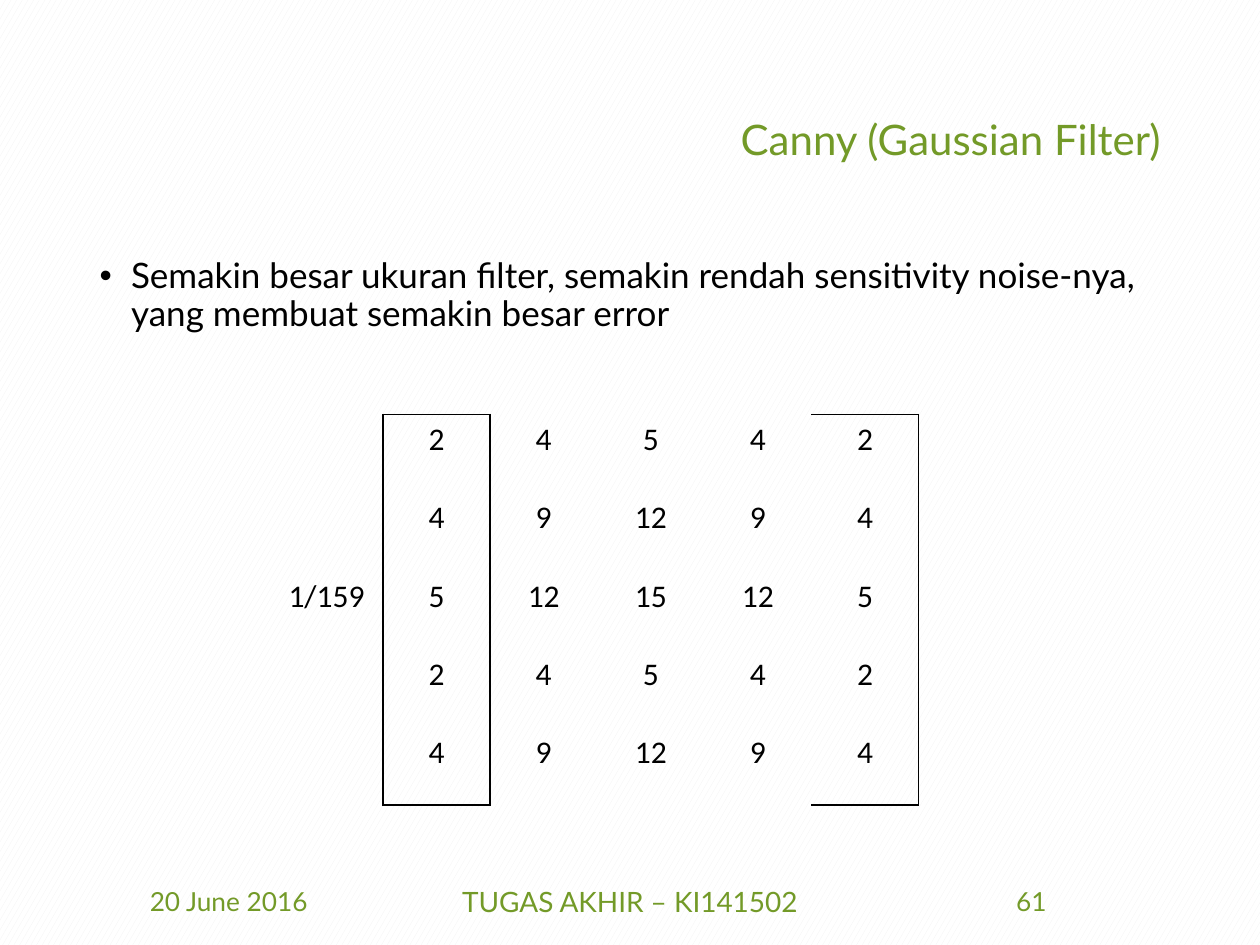
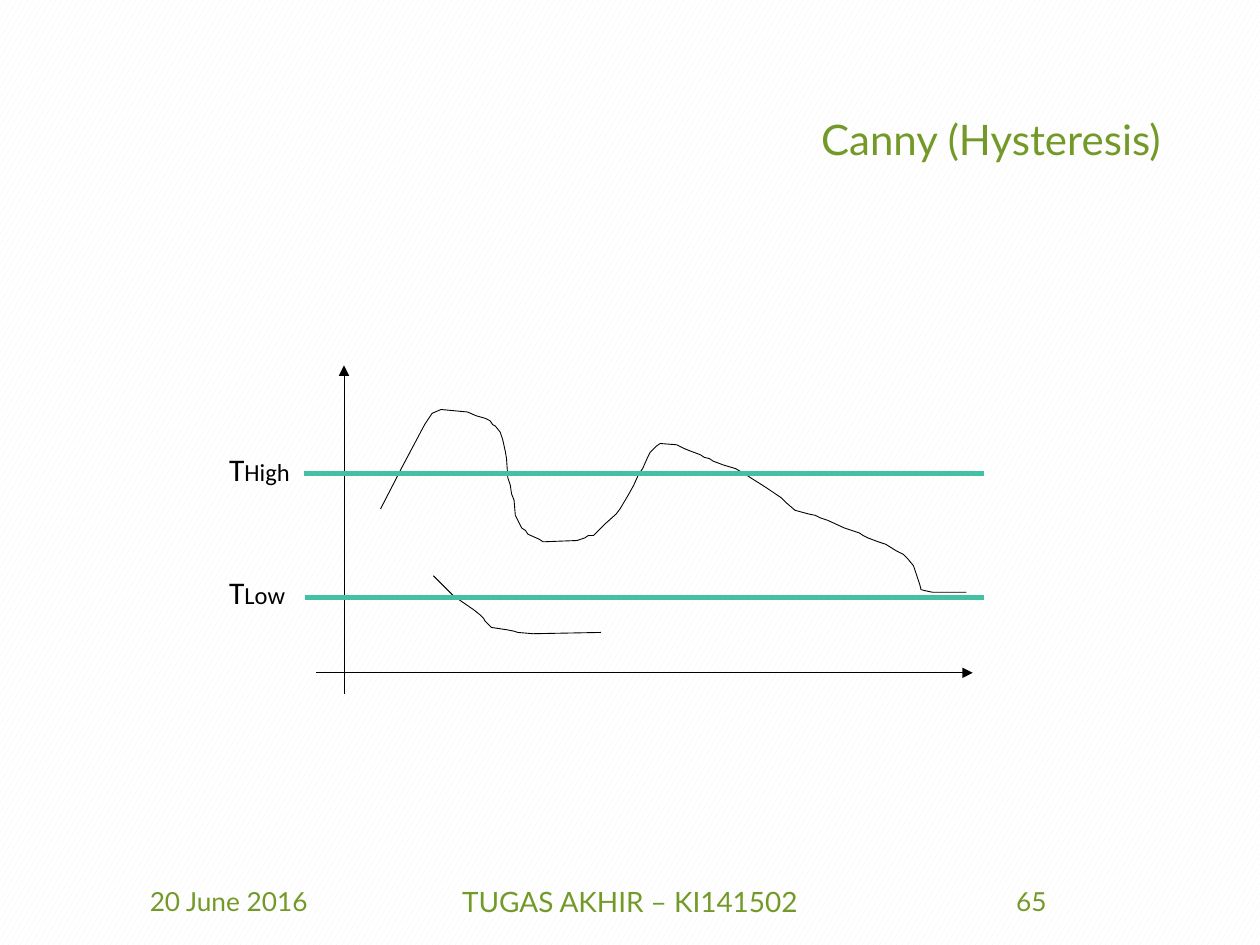
from dataclasses import dataclass

from lxml.etree import SubElement
from pptx import Presentation
from pptx.dml.color import RGBColor
from pptx.enum.dml import MSO_PATTERN
from pptx.enum.shapes import MSO_CONNECTOR
from pptx.enum.text import MSO_ANCHOR, MSO_AUTO_SIZE, PP_ALIGN
from pptx.oxml import parse_xml
from pptx.oxml.ns import nsdecls, qn
from pptx.presentation import Presentation as Deck
from pptx.slide import Slide
from pptx.table import _Cell as Cell
from pptx.util import Emu, Pt

EMU_PER_PX = 9144
GREEN = "739A28"
TEAL = "44C1A3"
BLACK = "000000"
WHITE = "FFFFFF"
PALE = "F2F2F2"
HEADING_FONT = "Lato"
FIGURE_FONT = "Calibri"
NO_TABLE_STYLE = "{2D5ABB26-0587-4C30-8999-92F81FD0307C}"


@dataclass(frozen=True)
class Box:
    left: int
    top: int
    width: int
    height: int


@dataclass(frozen=True)
class Footer:
    text: str
    box: Box
    size: int


@dataclass(frozen=True)
class Line:
    start: tuple[int, int]
    end: tuple[int, int]
    color: str = BLACK
    weight: float = 0.5
    arrow: bool = False


@dataclass(frozen=True)
class Threshold:
    name: str
    left: int
    y: int


TITLE_BOX = Box(69, 40, 862, 145)
BODY_BOX = Box(69, 200, 862, 476)
DATE = Footer("20 June 2016", Box(69, 695, 225, 40), 15)
COURSE = Footer("TUGAS AKHIR – KI141502", Box(331, 695, 338, 40), 16)
NUMBER_BOX = Box(706, 695, 225, 40)

KERNEL = [
    [2, 4, 5, 4, 2],
    [4, 9, 12, 9, 4],
    [5, 12, 15, 12, 5],
    [2, 4, 5, 4, 2],
    [4, 9, 12, 9, 4],
]
FACTOR = "1/159"
FACTOR_ROW = 2
KERNEL_LEFT, KERNEL_TOP = 219, 329
CELL_WIDTH, CELL_HEIGHT = 85, 62

AXES = [
    Line((273, 551), (273, 290), arrow=True),
    Line((251, 534), (772, 534), arrow=True),
]
STRONG_EDGE = [
    (302, 404), (320, 369), (337, 337), (343, 328), (350, 325), (371, 327),
    (378, 330), (385, 332), (389, 334), (391, 337), (393, 338), (397, 343),
    (399, 349), (401, 358), (402, 364), (403, 379), (405, 385), (406, 392),
    (408, 397), (409, 409), (411, 413), (414, 419), (417, 421), (419, 424),
    (428, 428), (431, 430), (458, 429), (464, 427), (467, 425), (471, 425),
    (480, 416), (489, 408), (492, 404), (498, 394), (503, 385), (507, 376),
    (510, 372), (514, 363), (516, 359), (521, 354), (524, 352), (537, 353),
    (543, 356), (548, 358), (556, 361), (559, 363), (563, 364), (566, 366),
    (574, 369), (584, 372), (594, 378), (597, 380), (605, 385), (608, 387),
    (617, 393), (620, 395), (624, 399), (631, 405), (642, 408), (647, 409),
    (651, 411), (657, 413), (670, 419), (682, 423), (685, 425), (689, 427),
    (697, 430), (703, 432), (711, 437), (717, 440), (720, 443), (725, 449),
    (727, 455), (728, 458), (730, 464), (731, 468), (735, 469), (740, 470),
    (767, 470),
]
WEAK_EDGE = [
    (344, 457), (360, 473), (376, 484), (381, 488), (384, 491), (385, 493),
    (390, 498), (403, 500), (408, 501), (411, 502), (423, 503), (477, 502),
]
THRESHOLDS = [Threshold("Low", 242, 474), Threshold("High", 241, 376)]
THRESHOLD_RIGHT = 781


def px(value: int) -> Emu:
    return Emu(value * EMU_PER_PX)


def rgb(color: str) -> RGBColor:
    return RGBColor.from_string(color)


def place(sp, box: Box) -> None:
    sp.left, sp.top = px(box.left), px(box.top)
    sp.width, sp.height = px(box.width), px(box.height)


def style(target, size: int, color: str, name: str) -> None:
    font = target.font
    font.size, font.name = Pt(size), name
    font.color.rgb = rgb(color)


def add_text_box(s: Slide, box: Box):
    sp = s.shapes.add_textbox(px(box.left), px(box.top), px(box.width), px(box.height))
    sp.text_frame.word_wrap = True
    return sp.text_frame


def add_footer(s: Slide, footer: Footer) -> None:
    tf = add_text_box(s, footer.box)
    tf.vertical_anchor = MSO_ANCHOR.MIDDLE
    p = tf.paragraphs[0]
    p.text, p.alignment = footer.text, PP_ALIGN.CENTER
    style(p, footer.size, GREEN, HEADING_FONT)


def add_slide(prs: Deck, layout: str, title: str, number: int) -> Slide:
    s = prs.slides.add_slide(prs.slide_layouts.get_by_name(layout))
    fill = s.background.fill
    fill.patterned()
    fill.pattern = MSO_PATTERN.LARGE_CONFETTI
    fill.fore_color.rgb, fill.back_color.rgb = rgb(PALE), rgb(WHITE)
    place(s.shapes.title, TITLE_BOX)
    tf = s.shapes.title.text_frame
    tf.auto_size, tf.vertical_anchor = MSO_AUTO_SIZE.NONE, MSO_ANCHOR.MIDDLE
    p = tf.paragraphs[0]
    p.text, p.alignment, p.line_spacing = title, PP_ALIGN.RIGHT, 0.9
    style(p, 24, GREEN, HEADING_FONT)
    for footer in (DATE, COURSE, Footer(str(number), NUMBER_BOX, 15)):
        add_footer(s, footer)
    return s


def fill_body(s: Slide, text: str) -> None:
    sp = s.placeholders[1]
    place(sp, BODY_BOX)
    tf = sp.text_frame
    tf.auto_size = MSO_AUTO_SIZE.NONE
    p = tf.paragraphs[0]
    p.text, p.line_spacing, p.space_before = text, 0.9, Pt(0)
    pPr = p._p.get_or_add_pPr()
    pPr.set("marL", str(px(25)))
    pPr.set("indent", str(px(-25)))
    SubElement(pPr, qn("a:buFont")).set("typeface", "Arial")
    SubElement(pPr, qn("a:buChar")).set("char", "•")
    style(p, 20, BLACK, HEADING_FONT)


def set_borders(cell: Cell, sides: str) -> None:
    tcPr = cell._tc.get_or_add_tcPr()
    for i, side in enumerate(sides):
        tcPr.insert(i, parse_xml(
            f'<a:ln{side} {nsdecls("a")} w="12700"><a:solidFill>'
            f'<a:srgbClr val="{BLACK}"/></a:solidFill></a:ln{side}>'))


def bracket_sides(row: int, col: int, last_row: int, last_col: int) -> str:
    corner = col in (1, last_col)
    rules = {
        "L": col == 1,
        "R": col in (0, last_col),
        "T": corner and row == 0,
        "B": corner and row == last_row,
    }
    return "".join(side for side, drawn in rules.items() if drawn)


def add_kernel(s: Slide) -> None:
    rows, cols = len(KERNEL), len(KERNEL[0]) + 1
    frame = s.shapes.add_table(rows, cols, px(KERNEL_LEFT), px(KERNEL_TOP),
                               px(cols * CELL_WIDTH), px(rows * CELL_HEIGHT))
    for style_id in frame.element.iter(qn("a:tableStyleId")):
        style_id.text = NO_TABLE_STYLE
    table = frame.table
    table.first_row = table.horz_banding = False
    for i, weights in enumerate(KERNEL):
        texts = [FACTOR if i == FACTOR_ROW else "", *map(str, weights)]
        for j, text in enumerate(texts):
            cell = table.cell(i, j)
            cell.fill.background()
            set_borders(cell, bracket_sides(i, j, rows - 1, cols - 1))
            p = cell.text_frame.paragraphs[0]
            p.text = text
            p.alignment = PP_ALIGN.CENTER if j else PP_ALIGN.LEFT
            style(p, 18, BLACK, FIGURE_FONT)


def add_line(s: Slide, line: Line) -> None:
    points = [px(v) for v in (*line.start, *line.end)]
    sp = s.shapes.add_connector(MSO_CONNECTOR.STRAIGHT, *points)
    sp.line.color.rgb, sp.line.width = rgb(line.color), Pt(line.weight)
    if line.arrow:
        SubElement(sp.line._get_or_add_ln(), qn("a:tailEnd")).set("type", "triangle")
    SubElement(sp.element.spPr, qn("a:effectLst"))


def add_curve(s: Slide, points: list[tuple[int, int]]) -> None:
    builder = s.shapes.build_freeform(*points[0], scale=EMU_PER_PX)
    builder.add_line_segments(points[1:], close=False)
    sp = builder.convert_to_shape()
    sp.shadow.inherit = False
    sp.fill.background()
    sp.line.color.rgb, sp.line.width = rgb(BLACK), Pt(0.5)


def add_threshold_label(s: Slide, threshold: Threshold) -> None:
    tf = add_text_box(s, Box(172, threshold.y - 24, 90, 40))
    tf.auto_size = MSO_AUTO_SIZE.SHAPE_TO_FIT_TEXT
    for text, size in (("T", 18), (threshold.name, 14)):
        r = tf.paragraphs[0].add_run()
        r.text = text
        style(r, size, BLACK, FIGURE_FONT)


def build_gaussian(prs: Deck) -> None:
    s = add_slide(prs, "Title and Content", "Canny (Gaussian Filter)", 61)
    fill_body(s, "Semakin besar ukuran filter, semakin rendah sensitivity "
                 "noise-nya, yang membuat semakin besar error")
    add_kernel(s)


def build_hysteresis(prs: Deck) -> None:
    s = add_slide(prs, "Title Only", "Canny (Hysteresis)", 65)
    for axis in AXES:
        add_line(s, axis)
    for edge in (STRONG_EDGE, WEAK_EDGE):
        add_curve(s, edge)
    for t in THRESHOLDS:
        add_line(s, Line((t.left, t.y), (THRESHOLD_RIGHT, t.y), TEAL, 3))
        add_threshold_label(s, t)


def main() -> None:
    prs = Presentation()
    prs.slide_width, prs.slide_height = px(1000), px(750)
    build_gaussian(prs)
    build_hysteresis(prs)
    prs.save("out.pptx")


if __name__ == "__main__":
    main()
